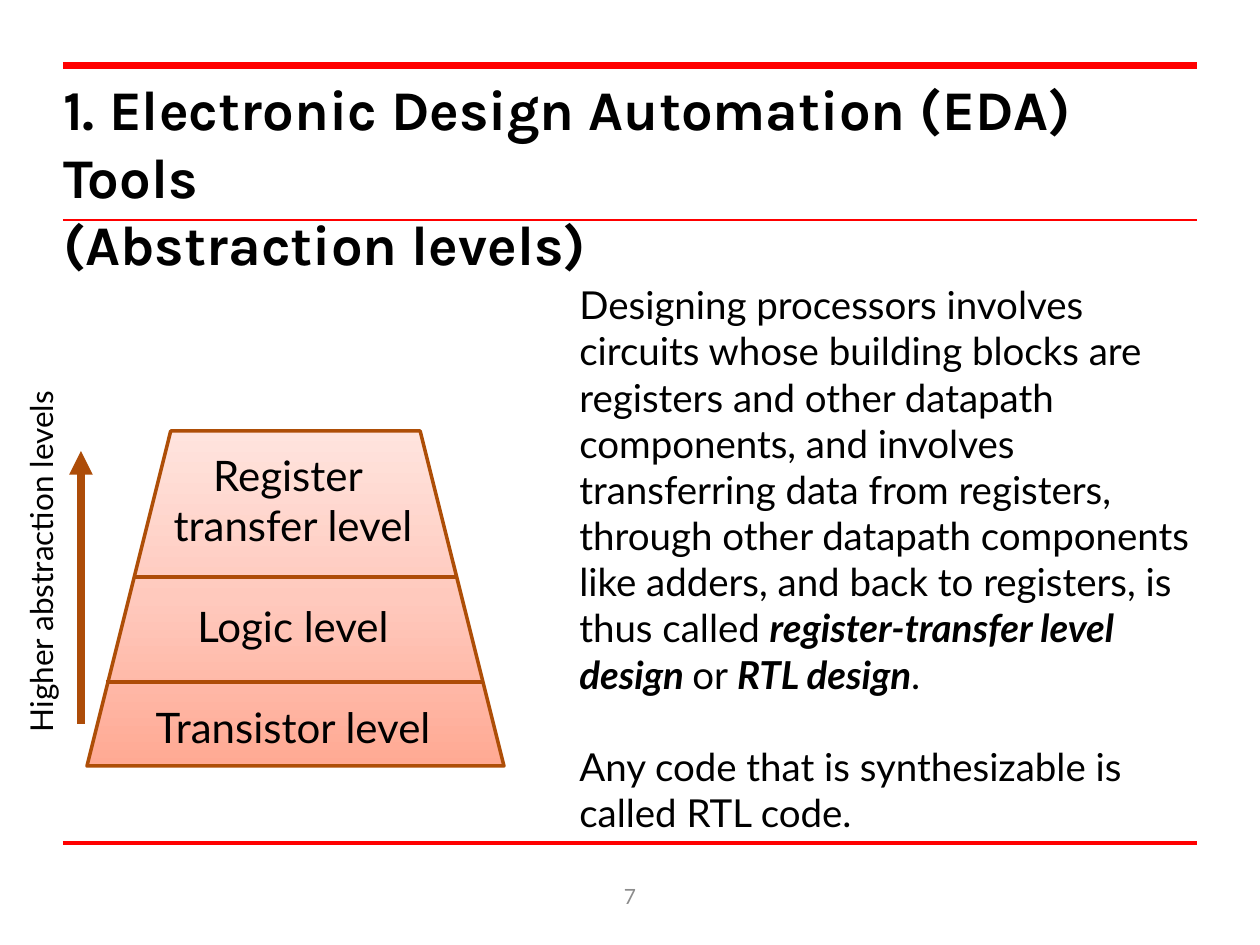
from copy import deepcopy

from lxml.etree import SubElement
from pptx import Presentation
from pptx.dml.color import RGBColor
from pptx.enum.shapes import MSO_CONNECTOR, MSO_SHAPE
from pptx.enum.text import MSO_ANCHOR, PP_ALIGN
from pptx.oxml.ns import qn
from pptx.util import Emu, Pt

PX = 914400 // 126
RED, BROWN, BLACK, GRAY = "FF0000", "AD4C08", "000000", "8C8C8C"


def px(*lengths):
    return [Emu(length * PX) for length in lengths]


def color(hex_text):
    return RGBColor.from_string(hex_text)


def add_line(page, start, end, line_color, width, arrow=False):
    line = page.shapes.add_connector(MSO_CONNECTOR.STRAIGHT, *px(*start, *end))
    line.line.color.rgb = color(line_color)
    line.line.width = Pt(width)
    properties = line._element.spPr
    if arrow:
        SubElement(properties.find(qn("a:ln")), qn("a:tailEnd"), type="triangle")
    SubElement(properties, qn("a:effectLst"))


def add_text(page, paragraphs, at, size, font="Lato", text_color=BLACK, bold=False,
             align=PP_ALIGN.LEFT, anchor=MSO_ANCHOR.TOP, gaps=(), gap=0,
             inset=None, rotation=0):
    """Each paragraph is a list of (text, emphasized) spans; gaps lists those with space before."""
    box = page.shapes.add_textbox(*px(*at))
    box.rotation = rotation
    frame = box.text_frame
    frame.word_wrap = True
    frame.vertical_anchor = anchor
    if inset is not None:
        frame.margin_left = frame.margin_right = inset
        frame.margin_top = frame.margin_bottom = inset
    for index, spans in enumerate(paragraphs):
        para = frame.add_paragraph() if index else frame.paragraphs[0]
        para.alignment = align
        if index in gaps:
            para.space_before = Pt(gap)
        for text, emphasized in spans:
            for part_index, part in enumerate(text.split("\n")):
                if part_index:
                    para.add_line_break()
                span = para.add_run()
                span.text = part
                span.font.name = font
                span.font.size = Pt(size)
                span.font.color.rgb = color(text_color)
                span.font.bold = bold or emphasized
                span.font.italic = emphasized


def add_trapezoid(page, at, stops, line_color, width):
    shape = page.shapes.add_shape(MSO_SHAPE.TRAPEZOID, *px(*at))
    shape.shadow.inherit = False
    shape.fill.gradient()
    shape.fill.gradient_angle = 90
    # The default gradient has two stops; the third is a clone of the first
    stop_list = shape._element.spPr.find(".//" + qn("a:gsLst"))
    stop_list.insert(1, deepcopy(stop_list[0]))
    for stop, (position, stop_color) in zip(shape.fill.gradient_stops, stops):
        stop.position = position
        stop.color.rgb = color(stop_color)
    shape.line.color.rgb = color(line_color)
    shape.line.width = Pt(width)


def main():
    deck = Presentation()
    deck.slide_width, deck.slide_height = px(1260, 945)
    page = deck.slides.add_slide(deck.slide_layouts[6])

    # Red rules
    for y, width in ((843, 2.5), (220, 1), (66, 4)):
        add_line(page, (63, y), (1197, y), RED, width)

    # Title and page number
    add_text(page, [[("1. Electronic Design Automation (EDA) Tools\n(Abstraction levels)", False)]],
             (63, 75, 1133, 126), 32, font="Karla", bold=True, inset=0)
    add_text(page, [[("7", False)]], (483, 871, 294, 50), 12, text_color=GRAY,
             align=PP_ALIGN.CENTER, anchor=MSO_ANCHOR.MIDDLE)

    # Explanation
    add_text(page, [
        [("Designing processors involves circuits whose building blocks are registers and "
          "other datapath components, and involves transferring data from registers, through "
          "other datapath components like adders, and back to registers, is thus called ", False),
         ("register-transfer level design ", True), ("or ", False),
         ("RTL design", True), (".", False)],
        [("Any code that is synthesizable is called RTL code.", False)],
    ], (567, 275, 653, 619), 22, gaps=(1,), gap=26.4)

    # Pyramid of abstraction levels
    add_trapezoid(page, (87, 431, 417, 335),
                  ((0, "FFA993"), (0.5, "FFC9BD"), (1, "FFE4DE")), "AE4E07", 2)
    levels = ("Register ", "transfer level", "Logic level", "Transistor level")
    add_text(page, [[(level, False)] for level in levels], (79, 443, 428, 319), 24,
             align=PP_ALIGN.CENTER, gaps=(2, 3), gap=28.8)
    for left, right, y in ((135, 456, 577), (106, 483, 682)):
        add_line(page, (left, y), (right, y), BROWN, 2.25)

    # Upward arrow with its label
    add_line(page, (81, 724), (81, 451), BROWN, 4.5, arrow=True)
    add_text(page, [[("Higher abstraction levels", False)]], (-147, 532, 375, 50), 18,
             rotation=270)

    deck.save("out.pptx")


if __name__ == "__main__":
    main()
